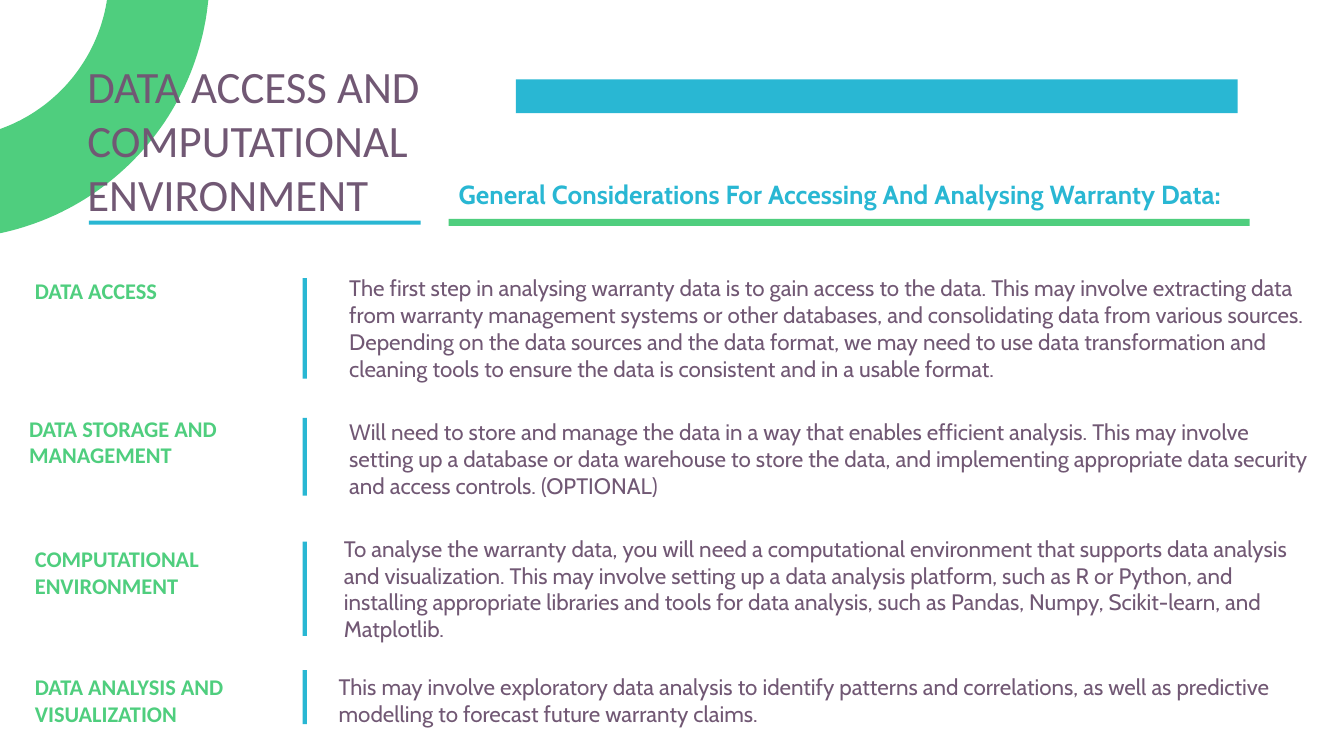
from dataclasses import dataclass
from math import cos, radians, sin

from lxml.etree import SubElement
from pptx import Presentation
from pptx.dml.color import RGBColor
from pptx.enum.shapes import MSO_SHAPE
from pptx.enum.text import MSO_ANCHOR, MSO_AUTO_SIZE, PP_ALIGN
from pptx.oxml.ns import qn
from pptx.util import Cm, Pt


@dataclass(frozen=True)
class Theme:
    """Colours, fonts and type sizes of the slide."""
    green: RGBColor = RGBColor(0x4F, 0xCE, 0x7E)
    blue: RGBColor = RGBColor(0x29, 0xB7, 0xD3)
    plum: RGBColor = RGBColor(0x71, 0x58, 0x74)
    heading_font: str = "Calibri"
    body_font: str = "Cabin"
    title_size: int = 24
    subtitle_size: int = 14
    body_size: int = 12


@dataclass(frozen=True)
class Box:
    """A rectangle in centimetres."""
    left: float
    top: float
    width: float
    height: float

    def lengths(self):
        """Return the four sides as lengths."""
        return [Cm(side) for side in (self.left, self.top, self.width, self.height)]


@dataclass(frozen=True)
class Topic:
    """A heading with its text, and their (x, y) offsets from the row's corner."""
    heading: str
    text: str
    top: float
    rule_height: float
    heading_offset: tuple
    text_offset: tuple


THEME = Theme()
TOPICS = [
    Topic("DATA ACCESS",
          "The first step in analysing warranty data is to gain access to the data. "
          "This may involve extracting data from warranty management systems or other "
          "databases, and consolidating data from various sources. Depending on the data "
          "sources and the data format, we may need to use data transformation and "
          "cleaning tools to ensure the data is consistent and in a usable format.",
          5.26, 1.9, (0.11, -0.28), (6.05, -0.33)),
    Topic("DATA STORAGE AND MANAGEMENT",
          "Will need to store and manage the data in a way that enables efficient "
          "analysis. This may involve setting up a database or data warehouse to store "
          "the data, and implementing appropriate data security and access controls. "
          "(OPTIONAL)",
          7.9, 1.47, (0, -0.31), (6.05, -0.25)),
    Topic("COMPUTATIONAL ENVIRONMENT",
          "To analyse the warranty data, you will need a computational environment that "
          "supports data analysis and visualization. This may involve setting up a data "
          "analysis platform, such as R or Python, and installing appropriate libraries "
          "and tools for data analysis, such as Pandas, Numpy, Scikit-learn, and "
          "Matplotlib.",
          10.24, 1.78, (0.11, -0.18), (5.95, -0.38)),
    Topic("DATA ANALYSIS AND VISUALIZATION",
          "This may involve exploratory data analysis to identify patterns and "
          "correlations, as well as predictive modelling to forecast future warranty "
          "claims.",
          12.67, 1.02, (0.11, -0.2), (5.85, -0.2)),
]


def paint(shape, colour):
    """Give a shape a flat fill without line or shadow."""
    shape.shadow.inherit = False
    shape.fill.solid()
    shape.fill.fore_color.rgb = colour
    shape.line.fill.background()


def add_bar(slide, box, colour):
    """Draw a plain rectangle."""
    paint(slide.shapes.add_shape(MSO_SHAPE.RECTANGLE, *box.lengths()), colour)


def write(slide, box, text, font_name, size, colour, bold=False, placeholder=None, space_after=16):
    """Write one left-aligned paragraph in a placeholder or a new text box."""
    holder = placeholder or slide.shapes.add_textbox(*box.lengths())
    holder.left, holder.top, holder.width, holder.height = box.lengths()
    frame = holder.text_frame
    frame.text = text
    frame.word_wrap = True
    frame.auto_size = MSO_AUTO_SIZE.NONE
    frame.vertical_anchor = MSO_ANCHOR.TOP
    frame.margin_left = frame.margin_right = Cm(0.25)
    frame.margin_top = frame.margin_bottom = Cm(0.25)
    paragraph = frame.paragraphs[0]
    paragraph.alignment = PP_ALIGN.LEFT
    paragraph.space_before = Pt(0)
    paragraph.space_after = Pt(space_after)
    paragraph.font.name = font_name
    paragraph.font.size = Pt(size)
    paragraph.font.bold = bold
    paragraph.font.color.rgb = colour
    for properties in holder.element.iter(qn("a:pPr")):
        properties.set("marL", "0")
        properties.set("indent", "0")
        SubElement(properties, qn("a:buNone"))


def add_corner_ring(slide, box):
    """Draw a quarter ring around the box's centre, behind everything else."""
    centre_x, centre_y = box.left + box.width / 2, box.top + box.height / 2
    outer, inner = box.width / 2, box.width * 0.31
    angles = [radians(-3.5 + 1.5 * step) for step in range(61)]
    edge = [(outer, angle) for angle in angles] + [(inner, angle) for angle in reversed(angles)]
    points = [(Cm(centre_x + radius * cos(angle)), Cm(centre_y + radius * sin(angle)))
              for radius, angle in edge]
    builder = slide.shapes.build_freeform(*points[0])
    builder.add_line_segments(points[1:], close=True)
    ring = builder.convert_to_shape()
    paint(ring, THEME.green)
    ring.element.getparent().insert(2, ring.element)


def add_title(slide, box):
    """Place the underlined title."""
    write(slide, Box(box.left, box.top, box.width, 1.6),
          "DATA ACCESS AND \vCOMPUTATIONAL ENVIRONMENT", THEME.heading_font,
          THEME.title_size, THEME.plum, placeholder=slide.shapes.title, space_after=0)
    add_bar(slide, Box(box.left + 0.28, box.top + box.height, 6.27, 0.08), THEME.blue)


def add_subtitle(slide, box):
    """Place the blue banner with the underlined subtitle below it."""
    add_bar(slide, Box(box.left + 1.27, box.top, 13.64, 0.64), THEME.blue)
    write(slide, Box(box.left - 0.06, box.top + 1.62, box.width + 1.5, 1.6),
          "General Considerations For Accessing And Analysing Warranty Data:",
          THEME.body_font, THEME.subtitle_size, THEME.blue, bold=True)
    add_bar(slide, Box(box.left, box.top + box.height, box.width, 0.13), THEME.green)


def add_topic(slide, box, topic, heading_holder=None, text_holder=None):
    """Place a heading, a vertical rule and the text beside it."""
    heading_x, heading_y = topic.heading_offset
    text_x, text_y = topic.text_offset
    write(slide, Box(box.left + heading_x, box.top + heading_y, 4.67, 1.52), topic.heading,
          THEME.heading_font, THEME.body_size, THEME.green, bold=True,
          placeholder=heading_holder)
    add_bar(slide, Box(box.left + 5.42, box.top, 0.08, box.height), THEME.blue)
    write(slide, Box(box.left + text_x, box.top + text_y, 18.75, box.height + 0.7), topic.text,
          THEME.body_font, THEME.body_size, THEME.plum, placeholder=text_holder)


def main():
    """Build and save the slide."""
    presentation = Presentation()
    presentation.slide_width, presentation.slide_height = Cm(25.4), Cm(14.29)
    slide = presentation.slides.add_slide(presentation.slide_layouts.get_by_name("Two Content"))
    add_corner_ring(slide, Box(-6.04, -5.48, 10, 10))
    add_title(slide, Box(1.4, 0.86, 9.88, 3.31))
    add_subtitle(slide, Box(8.48, 1.5, 15.14, 2.64))
    first_holders = slide.placeholders[1], slide.placeholders[2]
    for index, topic in enumerate(TOPICS):
        holders = () if index else first_holders
        add_topic(slide, Box(0.3, topic.top, 24.8, topic.rule_height), topic, *holders)
    presentation.save("out.pptx")


if __name__ == "__main__":
    main()
